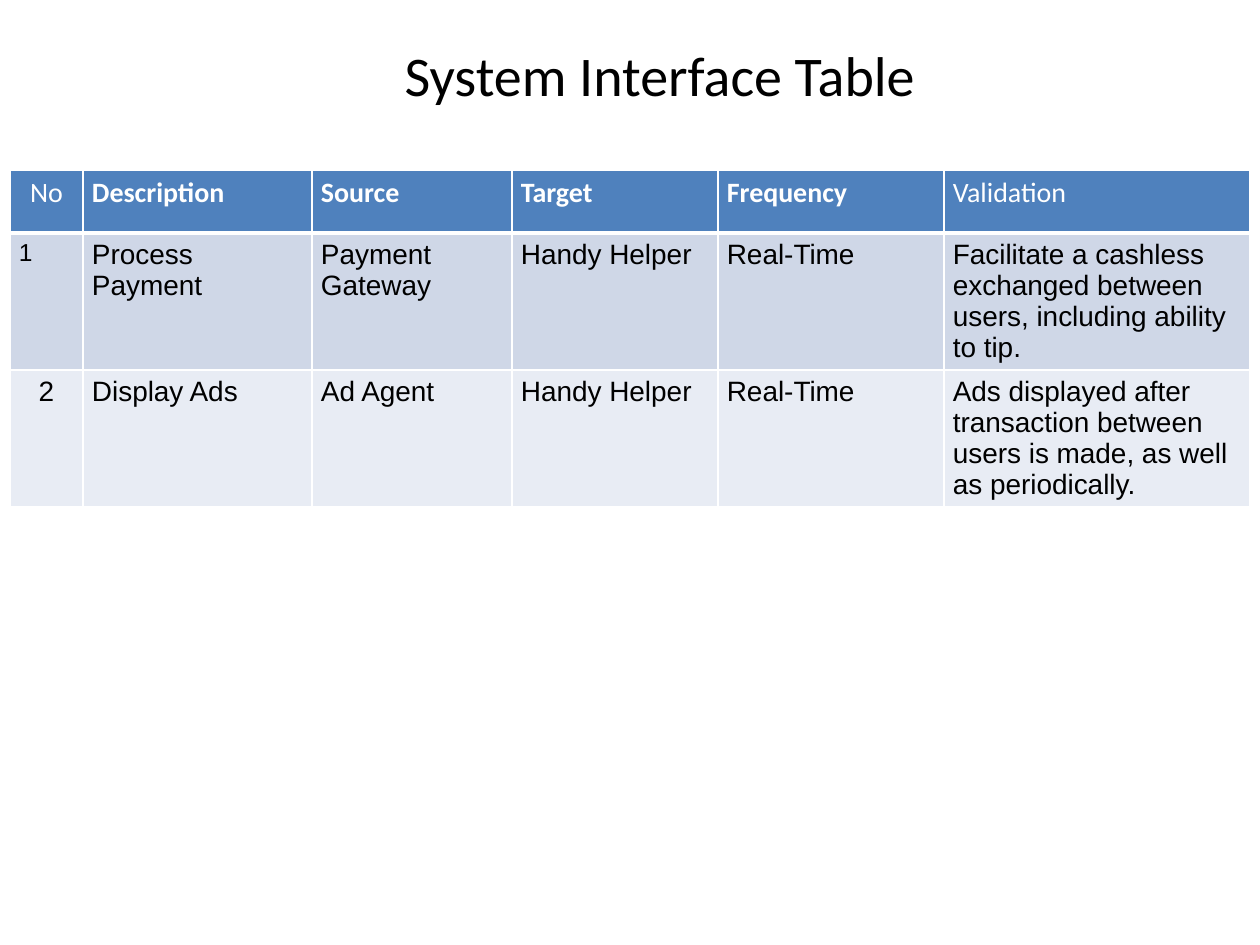
import lxml.etree
import pptx
import pptx.dml.color
import pptx.enum.text
import pptx.oxml.ns
import pptx.util

SCALE = 914400 / 126
THEME = {
    "white": "FFFFFF",
    "black": "000000",
    "header": "4F81BD",
    "bands": ["CFD7E7", "E8ECF4"],
    "heading_font": "Calibri",
    "body_font": "Arial",
    "title_size": 32,
    "table_size": 16,
    "small_size": 14,
}
COLUMN_WIDTHS = [73, 229, 200, 206, 226, 306]
ROW_HEIGHTS = [63, 137, 137]
ROWS = [
    ["No", "Description", "Source", "Target", "Frequency", "Validation"],
    ["1", "Process Payment", "Payment Gateway", "Handy Helper", "Real-Time",
     "Facilitate a cashless exchanged between users, including ability to tip."],
    ["2", "Display Ads", "Ad Agent", "Handy Helper", "Real-Time",
     "Ads displayed after transaction between users is made, as well as periodically."],
]
PLAIN_HEADINGS = ["No", "Validation"]
CENTERED = ["No", "2"]


def px(length):
    return pptx.util.Emu(round(length * SCALE))


def add_text(paragraph, text, font, size, color, bold=False):
    run = paragraph.add_run()
    run.text = text
    run.font.name = font
    run.font.size = pptx.util.Pt(size)
    run.font.bold = bold
    run.font.color.rgb = pptx.dml.color.RGBColor.from_string(color)


presentation = pptx.Presentation()
presentation.slide_width = px(1260)
presentation.slide_height = px(945)
slide = presentation.slides.add_slide(presentation.slide_layouts[5])

title = slide.shapes.title
title.left, title.top, title.width, title.height = px(392), px(34), px(540), px(81)
title.text_frame.vertical_anchor = pptx.enum.text.MSO_ANCHOR.MIDDLE
title_paragraph = title.text_frame.paragraphs[0]
title_paragraph.alignment = pptx.enum.text.PP_ALIGN.LEFT
add_text(title_paragraph, "System Interface Table", THEME["heading_font"],
         THEME["title_size"], THEME["black"])

table = slide.shapes.add_table(
    len(ROWS), len(COLUMN_WIDTHS), px(10), px(170),
    px(sum(COLUMN_WIDTHS)), px(sum(ROW_HEIGHTS))).table
for column, width in zip(table.columns, COLUMN_WIDTHS):
    column.width = px(width)
for row, height in zip(table.rows, ROW_HEIGHTS):
    row.height = px(height)

for row_index, texts in enumerate(ROWS):
    is_header = row_index == 0
    fill = THEME["header"] if is_header else THEME["bands"][row_index - 1]
    font = THEME["heading_font"] if is_header else THEME["body_font"]
    color = THEME["white"] if is_header else THEME["black"]
    for column_index, text in enumerate(texts):
        cell = table.cell(row_index, column_index)
        cell.margin_left = cell.margin_right = px(9)
        cell.margin_top = cell.margin_bottom = px(6)
        cell.fill.solid()
        cell.fill.fore_color.rgb = pptx.dml.color.RGBColor.from_string(fill)

        paragraph = cell.text_frame.paragraphs[0]
        if text in CENTERED:
            paragraph.alignment = pptx.enum.text.PP_ALIGN.CENTER
        size = THEME["small_size"] if text == "1" else THEME["table_size"]
        add_text(paragraph, text, font, size, color,
                 is_header and text not in PLAIN_HEADINGS)

        # Borders must come before the fill in the cell properties.
        properties = cell._tc.get_or_add_tcPr()
        widths = {"a:lnL": 1, "a:lnR": 1,
                  "a:lnT": 3 if row_index == 1 else 1,
                  "a:lnB": 3 if is_header else 1}
        for position, (tag, width) in enumerate(widths.items()):
            border = lxml.etree.Element(pptx.oxml.ns.qn(tag), w=str(pptx.util.Pt(width)))
            solid = lxml.etree.SubElement(border, pptx.oxml.ns.qn("a:solidFill"))
            lxml.etree.SubElement(solid, pptx.oxml.ns.qn("a:srgbClr"), val=THEME["white"])
            properties.insert(position, border)

presentation.save("out.pptx")
